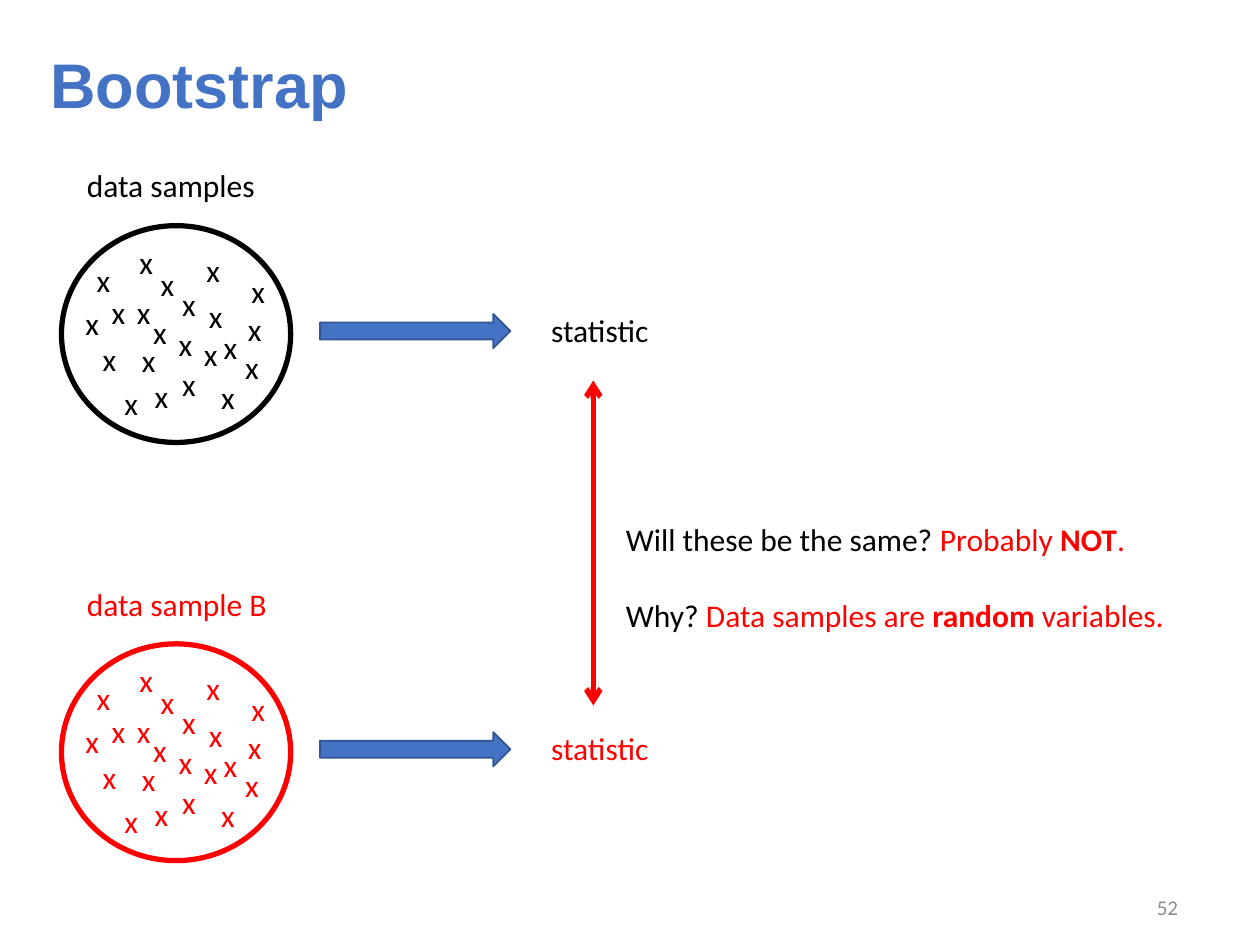
from lxml.etree import SubElement
from pptx import Presentation
from pptx.dml.color import RGBColor
from pptx.enum.shapes import MSO_CONNECTOR as CONN, MSO_SHAPE as SHAPE
from pptx.enum.text import MSO_ANCHOR as ANCHOR, MSO_AUTO_SIZE as AUTO, PP_ALIGN as ALIGN
from pptx.oxml.ns import qn
from pptx.util import Cm, Pt

COLORS = {"black": "000000", "red": "FF0000", "blue": "4472C4",
          "edge": "325491", "gray": "8C8C8C"}

TITLE = "Bootstrap"
PANELS = [("data sample B", "red", 12.98), ("data samples", "black", 4.55)]
POINTS = [
    (1.32, 0.23), (1.75, 0.66), (2.18, 1.07), (2.72, 1.32), (3.02, 1.93), (3.45, 2.34),
    (1.6, 1.63), (1.63, 2.92), (0.46, 0.58), (0.76, 1.24), (1.27, 1.24), (1.37, 2.21),
    (2.62, 2.08), (2.18, 2.69), (2.97, 2.95), (0.23, 1.45), (3.51, 1.57), (2.67, 0.38),
    (3.58, 0.81), (1.02, 3.07), (2.11, 1.88), (0.58, 2.18),
]
QUESTIONS = [
    [("Will these be the same? ", "black", False), ("Probably", "red", False),
     (" NOT", "red", True), (".", "red", False)],
    [("Why? ", "black", False), ("Data samples are ", "red", False),
     ("random ", "red", True), ("variables.", "red", False)],
]
LABEL_WIDTH = {"data samples": 3.94, "data sample B": 4.19}
LEFT = 1.24
LINE_H = 1.02


def rgb(name):
    return RGBColor.from_string(COLORS[name])


def add_run(p, text, color, size=18, bold=False, font="Calibri"):
    r = p.add_run()
    r.text = text
    r.font.name, r.font.size, r.font.bold = font, Pt(size), bold
    r.font.color.rgb = rgb(color)


def add_text(shapes, box, paragraphs, size=18):
    tf = shapes.add_textbox(*map(Cm, box)).text_frame
    tf.word_wrap = False
    for i, runs in enumerate(paragraphs):
        p = tf.add_paragraph() if i else tf.paragraphs[0]
        if i:
            p.space_before = Pt(22)
        for text, color, bold in runs:
            add_run(p, text, color, size, bold)
    return tf


def add_shape(shapes, kind, box, line, width, fill=None):
    sp = shapes.add_shape(kind, *map(Cm, box))
    sp.shadow.inherit = False
    if fill:
        sp.fill.solid()
        sp.fill.fore_color.rgb = rgb(fill)
    else:
        sp.fill.background()
    sp.line.color.rgb = rgb(line)
    sp.line.width = Pt(width)


def add_panel(s, label, color, top):
    group = s.shapes.add_group_shape()
    for x, y in POINTS:
        add_text(group.shapes, (LEFT + x, top + y, 0.8, LINE_H), [[("x", color, False)]])
    add_shape(group.shapes, SHAPE.OVAL, (LEFT, top, 4.62, 4.37), color, 3)
    add_shape(s.shapes, SHAPE.RIGHT_ARROW, (6.45, top + 1.78, 3.84, 0.69), "edge", 1, "blue")
    add_text(s.shapes, (10.86, top + 1.6, 2.49, LINE_H), [[("statistic", color, False)]])
    add_text(s.shapes, (1.5, top - 1.32, LABEL_WIDTH[label], LINE_H), [[(label, color, False)]])


def add_double_arrow(s, x, top, bottom):
    line = s.shapes.add_connector(CONN.STRAIGHT, Cm(x), Cm(top), Cm(x), Cm(bottom))
    line.line.color.rgb = rgb("red")
    line.line.width = Pt(3)
    ln = line.line._get_or_add_ln()
    for end in ("a:headEnd", "a:tailEnd"):
        SubElement(ln, qn(end), type="arrow")
    SubElement(line._element.spPr, qn("a:effectLst"))


def main():
    prs = Presentation()
    prs.slide_width, prs.slide_height = Cm(25.4), Cm(19.05)
    s = prs.slides.add_slide(prs.slide_layouts[5])

    title = s.shapes.title
    title.left, title.top, title.width, title.height = map(Cm, (0.76, 0.89, 23.88, 1.78))
    tf = title.text_frame
    tf.auto_size = AUTO.NONE
    tf.vertical_anchor = ANCHOR.MIDDLE
    p = tf.paragraphs[0]
    p.alignment, p.line_spacing = ALIGN.LEFT, 0.9
    add_run(p, TITLE, "blue", 36, True, "Arial")

    for label, color, top in PANELS:
        add_panel(s, label, color, top)
    add_double_arrow(s, 11.96, 7.67, 14.22)
    add_text(s.shapes, (12.37, 10.36, 11.63, 2.57), QUESTIONS)

    tf = add_text(s.shapes, (17.42, 17.91, 6.58, 0.76), [[("52", "gray", False)]], 12)
    tf.word_wrap = True
    tf.vertical_anchor = ANCHOR.MIDDLE
    tf.paragraphs[0].alignment = ALIGN.RIGHT

    prs.save("out.pptx")


if __name__ == "__main__":
    main()
